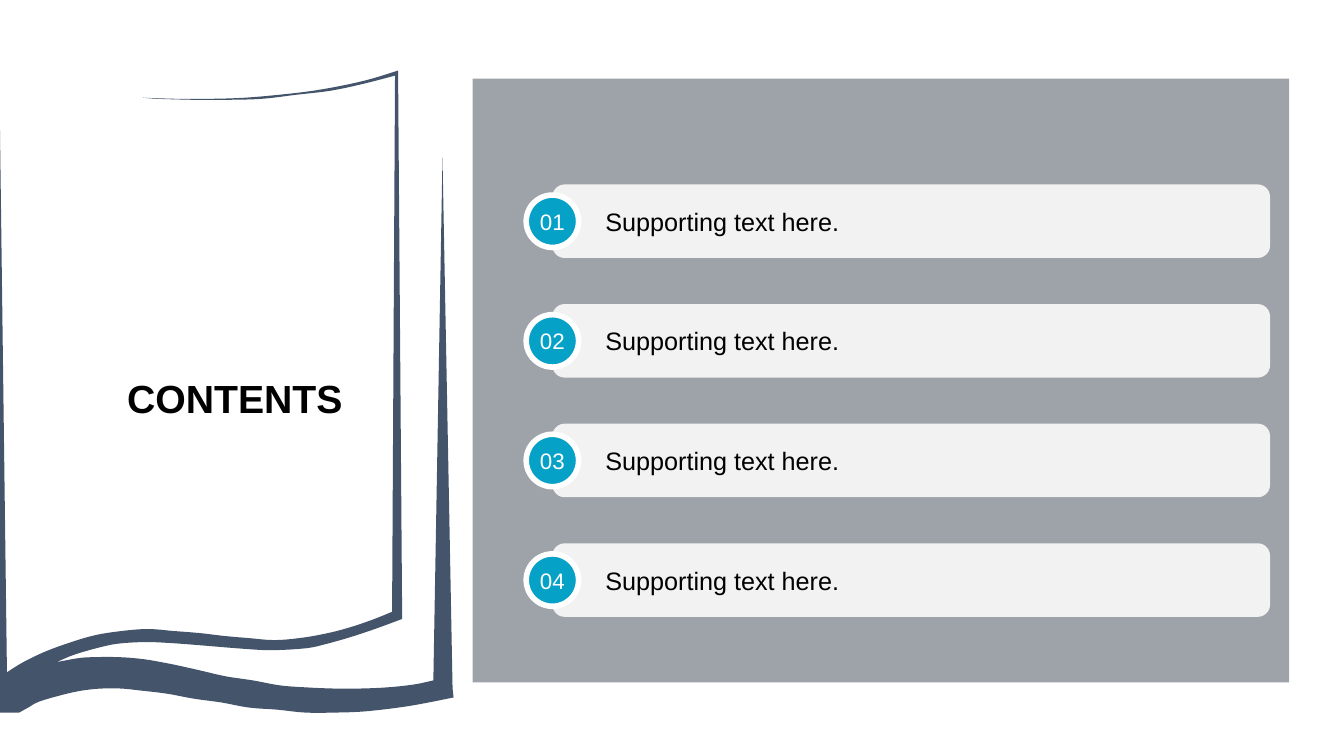
from dataclasses import dataclass
from itertools import chain

from lxml.etree import SubElement
from pptx import Presentation
from pptx.dml.color import RGBColor
from pptx.enum.shapes import MSO_SHAPE
from pptx.enum.text import MSO_ANCHOR, MSO_AUTO_SIZE, PP_ALIGN
from pptx.oxml.ns import qn
from pptx.util import Pt


@dataclass(frozen=True)
class Theme:
    """Colours, font and type sizes of the deck."""
    font: str = "Arial"
    panel: str = "212F3C"
    panel_alpha: int = 44
    book: str = "44546A"
    bar: str = "F2F2F2"
    badge: str = "06A1C6"
    light: str = "FFFFFF"
    dark: str = "000000"
    title_size: int = 28
    item_size: int = 18
    number_size: int = 16


@dataclass(frozen=True)
class Box:
    """A region of the slide, in points."""
    left: float
    top: float
    width: float
    height: float

    def lengths(self):
        """Return the four measures as Pt lengths."""
        return [Pt(v) for v in (self.left, self.top, self.width, self.height)]


THEME = Theme()
ITEMS = ["Supporting text here."] * 4

PAGE_FOOT = [
    (287.3, 391.7), (267.8, 398.9), (250.6, 404.6), (232.6, 409.7), (218.9, 412.6),
    (195.8, 414), (177.8, 413.3), (141.8, 410.4), (123.1, 409), (105.8, 408.2),
    (87.8, 409), (74.9, 411.1), (54, 416.9), (40.3, 422.6)]
COVER_TOP = [
    (40.3, 422.6), (55.4, 419.8), (66.2, 419), (85, 419), (103, 420.5), (123.1, 424.1),
    (142.6, 428.4), (161.3, 432.7), (180.7, 435.6), (200.2, 439.2), (218.9, 440.6),
    (238.3, 441.4), (257, 441.4), (276.5, 440.6), (295.9, 438.5), (309.6, 435.6)]
COVER_SPIKE = [(316.1, 61.9), (323.3, 441.4)]
COVER_FOOT = [
    (324, 447.8), (298.1, 452.9), (278.6, 455.8), (258.5, 457.9), (238.3, 458.6),
    (218.2, 458.6), (198, 456.5), (177.8, 455), (158.4, 451.4), (138.2, 448.6),
    (118.8, 445), (100.1, 442.8), (86.4, 441.4), (72.7, 441.4), (59, 442.8),
    (45.4, 445.7), (28.1, 450.7), (20.2, 455), (13.7, 458.6)]
SPINE = [(0, 458.6), (0, 41)]
PAGE_FOOT_INNER = [
    (5, 429.8), (16.6, 422.6), (33.1, 414.7), (51.1, 408.2), (68.4, 403.2), (87.1, 400.3),
    (105.8, 398.9), (123.8, 400.3), (142.6, 401.8), (160.6, 403.9), (177.8, 405.4),
    (195.8, 406.8), (213.8, 405.4), (231.1, 402.5), (248.4, 398.2), (265.7, 392.4),
    (280.1, 386.6)]
PAGE_TOP_INNER = [
    (282.2, 3.6), (259.9, 9.4), (236.2, 14.4), (211.7, 17.3), (187.2, 20.2),
    (162.7, 20.9), (138.2, 20.9), (113, 20.2), (102, 19.4)]
PAGE_TOP = [
    (102, 19.4), (126, 20.2), (150.5, 20.2), (175, 19.4), (199.4, 17.3), (223.9, 14.4),
    (247.7, 10.1), (265.7, 5.8), (284.4, 0)]


def smoothed(knots, steps=4):
    """Return points on a Catmull-Rom curve through the knots."""
    padded = [knots[0], *knots, knots[-1]]
    points = [knots[0]]
    for a, b, c, d in zip(padded, padded[1:], padded[2:], padded[3:]):
        for step in range(1, steps + 1):
            t = step / steps
            points.append(tuple(
                (2 * q + (r - p) * t + (2 * p - 5 * q + 4 * r - s) * t ** 2
                 + (3 * q - p - 3 * r + s) * t ** 3) / 2
                for p, q, r, s in zip(a, b, c, d)))
    return points


def paint(shape, colour):
    """Give a shape a flat fill without line or shadow."""
    shape.shadow.inherit = False
    shape.fill.solid()
    shape.fill.fore_color.rgb = RGBColor.from_string(colour)
    shape.line.fill.background()


def write(shape, text, size, colour, align, bold=False, wrap=False):
    """Set one vertically centred line of text in a shape."""
    frame = shape.text_frame
    frame.auto_size = MSO_AUTO_SIZE.NONE
    frame.word_wrap = wrap
    frame.vertical_anchor = MSO_ANCHOR.MIDDLE
    paragraph = frame.paragraphs[0]
    paragraph.alignment = align
    run = paragraph.add_run()
    run.text = text
    run.font.name = THEME.font
    run.font.size = Pt(size)
    run.font.bold = bold
    run.font.color.rgb = RGBColor.from_string(colour)


def add_panel(slide, box):
    """Draw the translucent panel behind the list."""
    panel = slide.shapes.add_shape(MSO_SHAPE.RECTANGLE, *box.lengths())
    paint(panel, THEME.panel)
    colour = panel.fill._xPr.find(qn("a:solidFill"))[0]
    SubElement(colour, qn("a:alpha")).set("val", str(THEME.panel_alpha * 1000))


def add_book(slide, box):
    """Draw the open book outline from the top left of its box."""
    outline = chain(
        smoothed(PAGE_FOOT), smoothed(COVER_TOP), COVER_SPIKE, smoothed(COVER_FOOT),
        SPINE, smoothed(PAGE_FOOT_INNER), smoothed(PAGE_TOP_INNER), smoothed(PAGE_TOP))
    start, *rest = [(Pt(box.left + x), Pt(box.top + y)) for x, y in outline]
    builder = slide.shapes.build_freeform(*start)
    builder.add_line_segments(rest, close=True)
    paint(builder.convert_to_shape(), THEME.book)


def add_title(slide, box):
    """Place the slide title on the book page."""
    title = slide.shapes.title
    title.left, title.top, title.width, title.height = box.lengths()
    write(title, "CONTENTS", THEME.title_size, THEME.dark, PP_ALIGN.CENTER, bold=True)


def add_item(slide, box, number, text):
    """Draw one bar with its numbered badge centred on the left edge."""
    item = slide.shapes.add_group_shape()
    bar = item.shapes.add_shape(MSO_SHAPE.ROUNDED_RECTANGLE, *box.lengths())
    paint(bar, THEME.bar)
    bar.text_frame.margin_left = Pt(35.28)
    write(bar, text, THEME.item_size, THEME.dark, PP_ALIGN.LEFT, wrap=True)

    side = 37.44
    badge_box = Box(box.left - side / 2, box.top + (box.height - side) / 2, side, side)
    badge = item.shapes.add_shape(MSO_SHAPE.OVAL, *badge_box.lengths())
    paint(badge, THEME.badge)
    badge.line.color.rgb = RGBColor.from_string(THEME.light)
    badge.line.width = Pt(4)
    write(badge, f"{number:02}", THEME.number_size, THEME.light, PP_ALIGN.CENTER)


def add_list(slide, box):
    """Spread the items evenly over the height of the box."""
    bar_height = 52.56
    pitch = (box.height - bar_height) / (len(ITEMS) - 1)
    for index, text in enumerate(ITEMS):
        bar_box = Box(box.left, box.top + index * pitch, box.width, bar_height)
        add_item(slide, bar_box, index + 1, text)


def main():
    """Build the contents slide and save the deck."""
    deck = Presentation()
    deck.slide_width, deck.slide_height = Pt(960), Pt(540)
    slide = deck.slides.add_slide(deck.slide_layouts[5])
    add_panel(slide, Box(337.68, 56.16, 583.2, 431.28))
    add_book(slide, Box(0, 50.4, 324, 458.64))
    add_title(slide, Box(67.68, 262.08, 200.16, 44.64))
    add_list(slide, Box(394.56, 131.76, 512.64, 308.88))
    deck.save("out.pptx")


if __name__ == "__main__":
    main()
